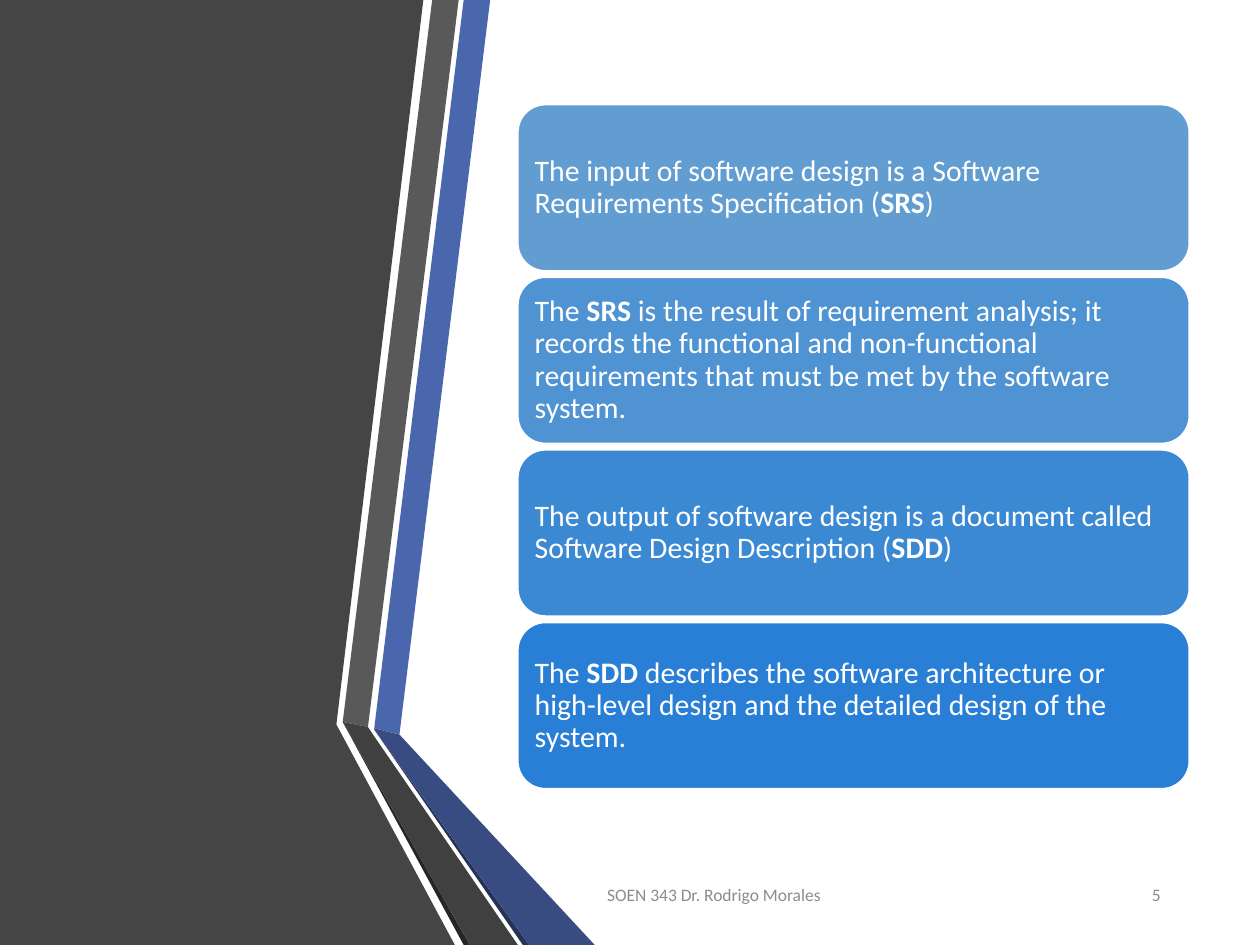
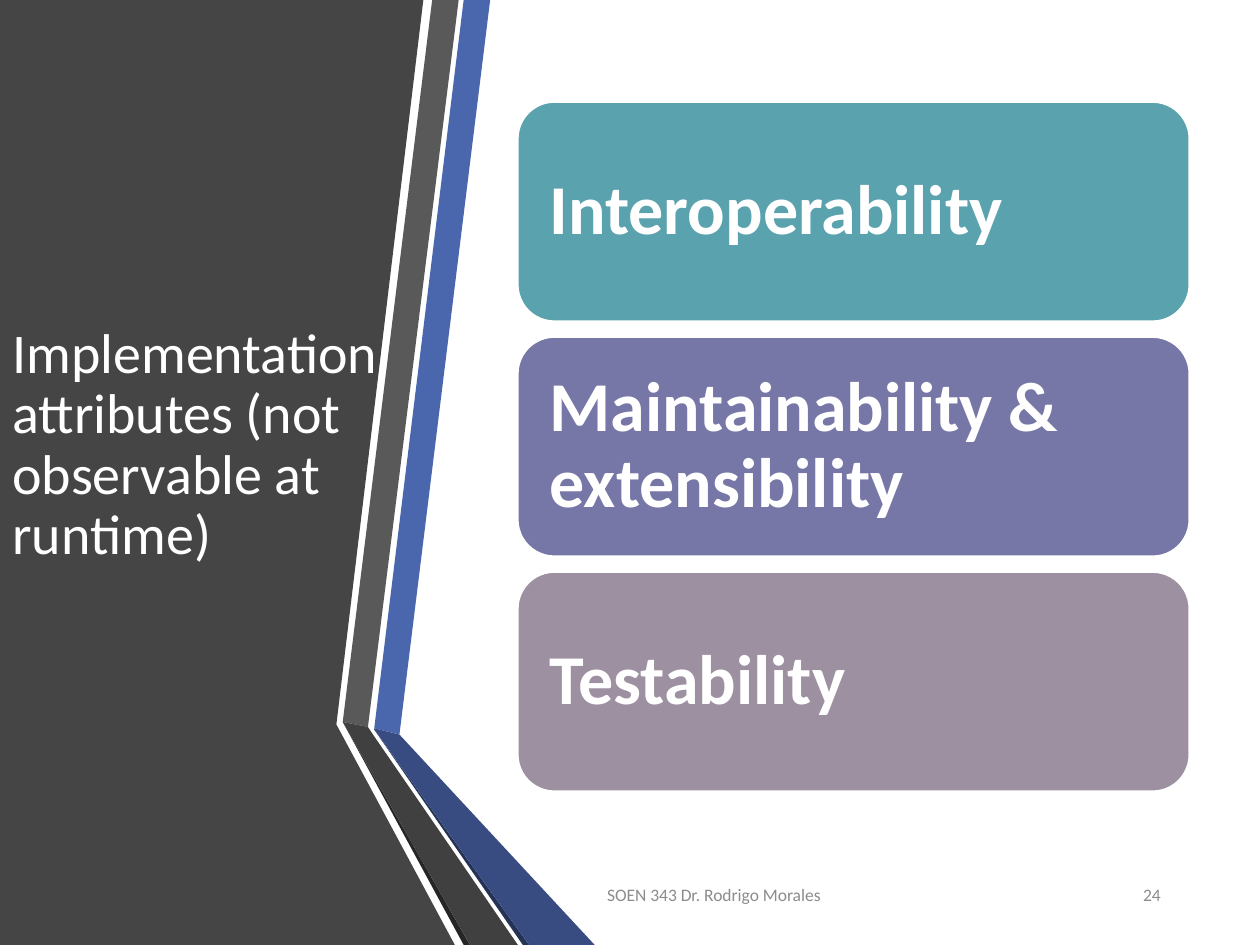
from pptx import Presentation
from pptx.dml.color import RGBColor
from pptx.enum.shapes import MSO_SHAPE as Shape
from pptx.enum.text import MSO_ANCHOR as Anchor, PP_ALIGN as Align
from pptx.util import Inches, Pt

# The slide is a grid of 1000 columns by 750 rows
COLUMNS, ROWS = 1000, 750
CELL = Inches(0.01)

COLORS = {
    "white": "FFFFFF", "footer": "8C8C8C", "panel": "454545",
    "blue": "4A66AC", "blue fold": "384C81", "blue edge": "253356",
    "gray": "595959", "gray fold": "404040", "gray edge": "262626",
    "sky": "629DD1", "azure": "5093D2", "cobalt": "3C89D3", "royal": "297FD5",
    "teal": "5AA2AE", "violet": "7677A6", "mauve": "9D90A0",
}

# Dark panel and folded ribbons, back to front
RIBBONS = [
    ("panel", [(0, 0), (336, 0), (267, 575), (361, ROWS), (0, ROWS)]),
    ("blue", [(297, 578), (317, 583), (389, 0), (368, 0)]),
    ("gray", [(364, 0), (343, 0), (272, 573), (292, 577)]),
    ("gray edge", [(272, 573), (368, ROWS), (373, ROWS)]),
    ("blue edge", [(297, 579), (415, ROWS), (420, ROWS)]),
    ("blue fold", [(297, 579), (420, ROWS), (472, ROWS), (317, 583), (297, 578)]),
    ("gray fold", [(411, ROWS), (296, 583), (292, 577), (272, 573), (373, ROWS)]),
]

# Cards are stacked around one middle row
CARD_LEFT, CARD_WIDTH, STACK_MIDDLE = 411, 533, 354.5
FOOTER_TOP, FOOTER_HEIGHT = 690, 40

# Card texts are lists of (text, bold) runs
SLIDES = [
    {
        "number": "5", "title": None,
        "height": 132, "gap": 5, "inset": 7, "size": 17,
        "cards": [
            ("sky", [("The input of software design is a Software Requirements "
                      "Specification (", False), ("SRS", True), (")", False)]),
            ("azure", [("The ", False), ("SRS", True),
                       (" is the result of requirement analysis; it records the "
                        "functional and non-functional requirements that must be "
                        "met by the software system.", False)]),
            ("cobalt", [("The output of software design is a document called "
                         "Software Design Description (", False),
                        ("SDD", True), (")", False)]),
            ("royal", [("The ", False), ("SDD", True),
                       (" describes the software architecture or high-level design "
                        "and the detailed design of the system.", False)]),
        ],
    },
    {
        "number": "24",
        "title": "Implementation attributes (not observable at runtime)",
        "height": 174, "gap": 12.5, "inset": 17, "size": 40,
        "cards": [
            ("teal", [("Interoperability", True)]),
            ("violet", [("Maintainability & extensibility", True)]),
            ("mauve", [("Testability", True)]),
        ],
    },
]


def paint(shape, color):
    shape.shadow.inherit = False
    shape.fill.solid()
    shape.fill.fore_color.rgb = RGBColor.from_string(COLORS[color])


def write(shape, runs, size, color="white", insets=(10, 5), paragraph_format=()):
    frame = shape.text_frame
    across, down = (int(inset * CELL) for inset in insets)
    frame_format = {
        "word_wrap": True, "vertical_anchor": Anchor.MIDDLE,
        "margin_left": across, "margin_right": across,
        "margin_top": down, "margin_bottom": down,
    }
    for name, value in frame_format.items():
        setattr(frame, name, value)
    paragraph = frame.paragraphs[0]
    for name, value in {"alignment": Align.LEFT, **dict(paragraph_format)}.items():
        setattr(paragraph, name, value)
    for text, bold in runs:
        run = paragraph.add_run()
        run.text = text
        for name, value in {"name": "Calibri", "size": Pt(size), "bold": bold}.items():
            setattr(run.font, name, value)
        run.font.color.rgb = RGBColor.from_string(COLORS[color])


deck = Presentation()
deck.slide_width, deck.slide_height = COLUMNS * CELL, ROWS * CELL

for content in SLIDES:
    shapes = deck.slides.add_slide(deck.slide_layouts[6]).shapes

    # Panel and ribbons
    for color, corners in RIBBONS:
        outline = shapes.build_freeform(*corners[0], scale=CELL)
        outline.add_line_segments(corners[1:], close=True)
        ribbon = outline.convert_to_shape()
        paint(ribbon, color)
        ribbon.line.fill.background()

    # Title on the panel
    if content["title"]:
        title = shapes.add_textbox(0, 75 * CELL, 342 * CELL, 558 * CELL)
        write(title, [(content["title"], False)], 32,
              paragraph_format={"line_spacing": 0.9})

    # Stack of cards
    height, pitch = content["height"], content["height"] + content["gap"]
    stack_height = len(content["cards"]) * pitch - content["gap"]
    stack_top = STACK_MIDDLE - stack_height / 2
    for row, (color, runs) in enumerate(content["cards"]):
        card = shapes.add_shape(
            Shape.ROUNDED_RECTANGLE, CARD_LEFT * CELL,
            int((stack_top + row * pitch) * CELL), CARD_WIDTH * CELL, height * CELL)
        paint(card, color)
        card.line.color.rgb = RGBColor.from_string(COLORS["white"])
        card.line.width = Pt(1)
        write(card, runs, content["size"], insets=(content["inset"],) * 2,
              paragraph_format={"line_spacing": 0.9})

    # Footer and slide number
    for text, left, width, alignment in [
        ("SOEN 343 Dr. Rodrigo Morales", 472, 320, Align.LEFT),
        (content["number"], 842, 89, Align.RIGHT),
    ]:
        footer = shapes.add_textbox(
            left * CELL, FOOTER_TOP * CELL, width * CELL, FOOTER_HEIGHT * CELL)
        write(footer, [(text, False)], 10, "footer",
              paragraph_format={"alignment": alignment, "space_after": Pt(6)})

deck.save("out.pptx")
